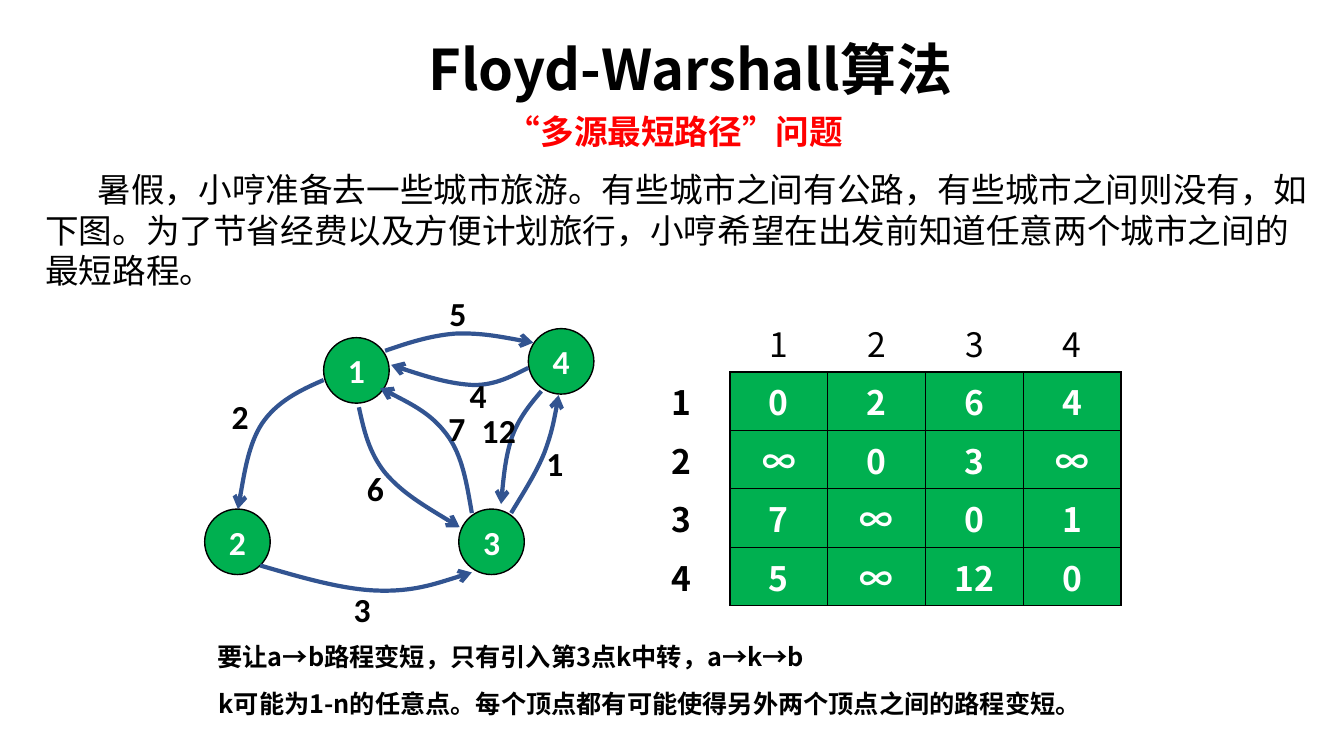
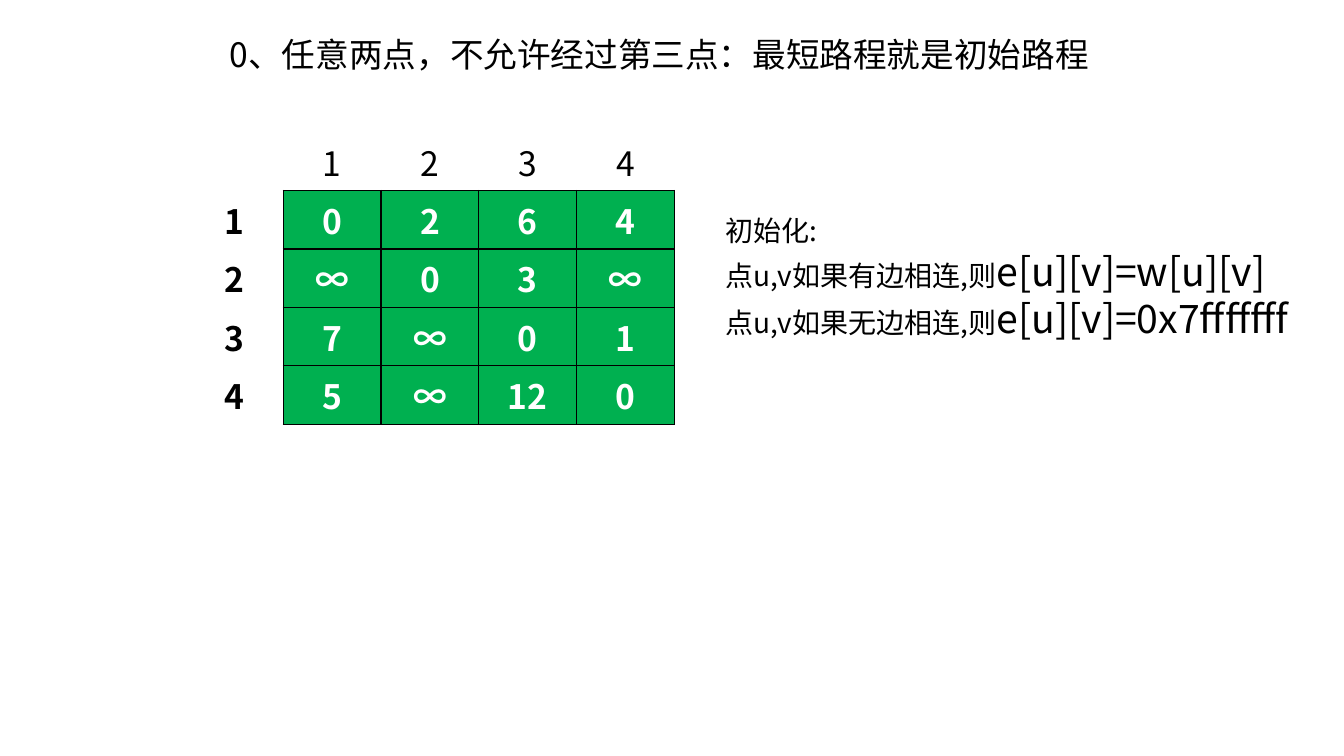
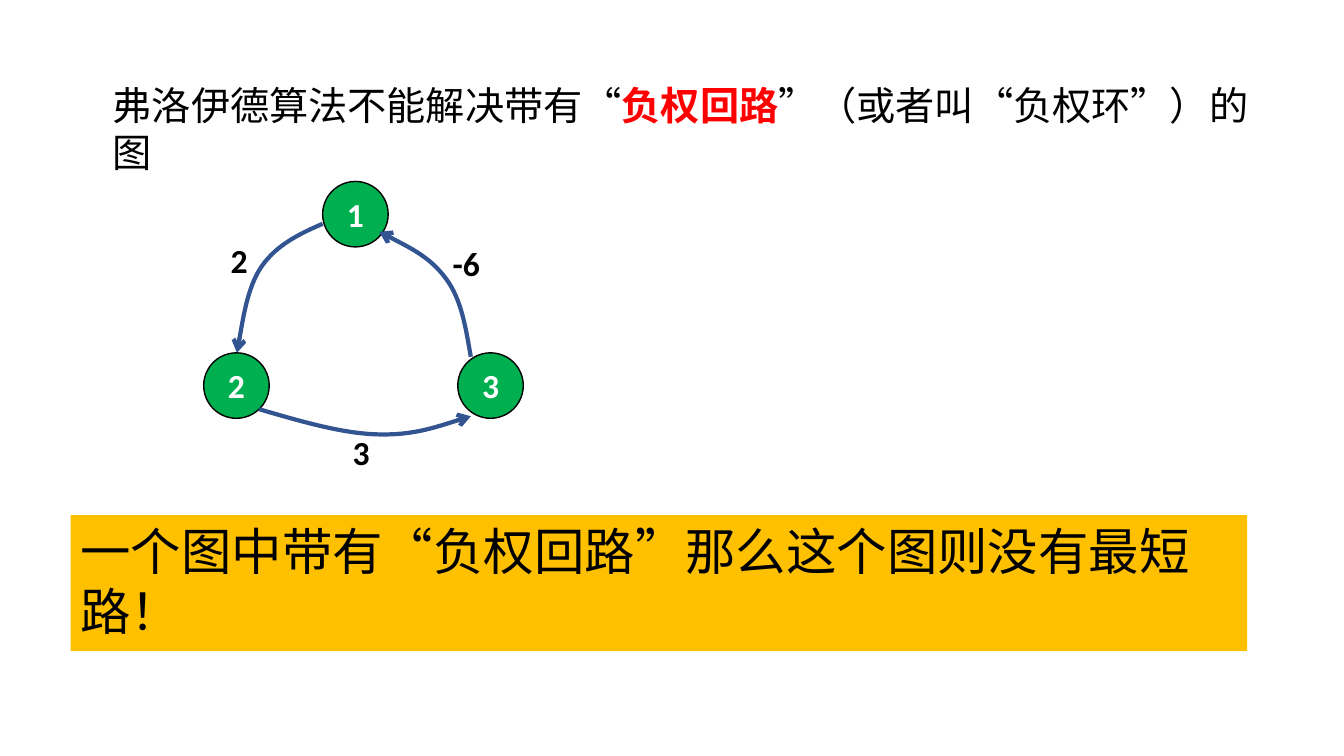
from lxml.etree import SubElement
from pptx import Presentation
from pptx.dml.color import RGBColor
from pptx.enum.shapes import MSO_SHAPE
from pptx.enum.text import MSO_ANCHOR, PP_ALIGN
from pptx.oxml.ns import qn
from pptx.util import Inches, Pt

BLACK, WHITE, RED = "000000", "FFFFFF", "FF0000"
GREEN, BLUE, AMBER = "00B050", "325491", "FFC000"
TEXT_FONT, GRAPH_FONT = "Noto Sans CJK SC", "Calibri"

NODE_SIZE = 0.65
NODES = {1: (1.18, 0.49), 2: (0, 2.19), 3: (2.52, 2.19), 4: (3.21, 0.4)}
CURVES = {
    (1, 2): [(1.18, 0.91), (0.95, 1.01), (0.72, 1.12), (0.57, 1.34),
             (0.43, 1.55), (0.33, 2.19), (0.33, 2.19)],
    (2, 3): [(0.55, 2.75), (0.96, 2.87), (1.37, 2.99), (1.72, 3),
             (2.07, 3.01), (2.36, 2.91), (2.65, 2.82)],
    (3, 1): [(2.65, 2.23), (2.6, 1.95), (2.56, 1.66), (2.4, 1.45),
             (2.25, 1.25), (2, 1.12), (1.74, 0.99)],
    (1, 3): [(1.53, 1.18), (1.58, 1.41), (1.63, 1.63), (1.79, 1.83),
             (1.96, 2.03), (2.25, 2.2), (2.53, 2.37)],
    (4, 1): [(3.21, 0.79), (3.05, 0.87), (2.89, 0.96), (2.67, 0.96),
             (2.44, 0.95), (2.14, 0.86), (1.85, 0.76)],
    (1, 4): [(1.79, 0.62), (2.02, 0.54), (2.24, 0.47), (2.48, 0.45),
             (2.73, 0.44), (2.99, 0.49), (3.26, 0.54)],
    (4, 3): [(3.34, 1.02), (3.23, 1.15), (3.12, 1.28), (3.05, 1.47),
             (2.99, 1.65), (2.96, 1.9), (2.94, 2.14)],
    (3, 4): [(3.04, 2.23), (3.16, 2.03), (3.29, 1.83), (3.37, 1.63),
             (3.44, 1.44), (3.48, 1.25), (3.51, 1.06)],
}
CITY_EDGES = {
    (1, 2): ("2", 0.17, 1.02), (2, 3): ("3", 1.38, 2.93),
    (3, 1): ("7", 2.32, 1.14), (1, 3): ("6", 1.51, 1.73),
    (4, 1): ("4", 2.53, 0.81), (1, 4): ("5", 2.33, 0),
    (4, 3): ("12", 2.65, 1.16), (3, 4): ("1", 3.29, 1.48),
}
NEGATIVE_CYCLE = {
    (1, 2): ("2", 0.17, 1.02), (2, 3): ("3", 1.38, 2.93),
    (3, 1): ("-6", 2.37, 1.05),
}
DISTANCES = ["0264", "∞03∞", "7∞01", ["5", "∞", "12", "0"]]
CELL_WIDTH, CELL_HEIGHT = 0.97, 0.58


def color(value):
    """Return the colour for a hex string."""
    return RGBColor.from_string(value)


def set_font(paragraph, size, ink=BLACK, bold=False, name=TEXT_FONT):
    """Style a whole paragraph, East Asian letters included."""
    font = paragraph.font
    font.size, font.bold, font.name = Pt(size), bold, name
    font.color.rgb = color(ink)
    SubElement(font._element, qn("a:ea"), typeface=name)


def add_text(slide, text, left, top, width, height, size, **style):
    """Add a wrapped one-paragraph text box and return its paragraph."""
    box = slide.shapes.add_textbox(*map(Inches, (left, top, width, height)))
    box.text_frame.word_wrap = True
    paragraph = box.text_frame.paragraphs[0]
    paragraph.text = text
    set_font(paragraph, size, **style)
    return paragraph


def add_shape(slide, kind, left, top, width, height, fill):
    """Add a filled preset shape without outline or shadow."""
    shape = slide.shapes.add_shape(kind, *map(Inches, (left, top, width, height)))
    shape.shadow.inherit = False
    shape.fill.solid()
    shape.fill.fore_color.rgb = color(fill)
    shape.line.fill.background()
    return shape


def add_node(slide, label, left, top):
    """Add a numbered graph vertex."""
    node = add_shape(slide, MSO_SHAPE.OVAL, left, top, NODE_SIZE, NODE_SIZE, GREEN)
    node.line.color.rgb = color(BLACK)
    node.line.width = Pt(1)
    frame = node.text_frame
    frame.margin_left = frame.margin_right = 0
    frame.vertical_anchor = MSO_ANCHOR.MIDDLE
    paragraph = frame.paragraphs[0]
    paragraph.text = label
    paragraph.alignment = PP_ALIGN.CENTER
    set_font(paragraph, 24, WHITE, True, GRAPH_FONT)


def add_curved_arrow(slide, points):
    """Draw a cubic curve with an arrowhead at its last point."""
    start, *others = [(Inches(x), Inches(y)) for x, y in points]
    builder = slide.shapes.build_freeform(*start)
    builder.add_line_segments(others, close=False)
    arrow = builder.convert_to_shape()
    segments = list(arrow._element.iter(qn("a:lnTo")))
    outline = segments[0].getparent()
    for first in range(0, len(segments), 3):
        curve = SubElement(outline, qn("a:cubicBezTo"))
        for segment in segments[first:first + 3]:
            curve.append(segment[0])
            outline.remove(segment)
    arrow.shadow.inherit = False
    arrow.fill.background()
    arrow.line.color.rgb = color(BLUE)
    arrow.line.width = Pt(3)
    SubElement(arrow.line._get_or_add_ln(), qn("a:tailEnd"), type="arrow")


def add_graph(slide, left, top, edges):
    """Draw the vertices, arrows and weights of a directed graph."""
    for vertex in sorted({vertex for edge in edges for vertex in edge}):
        x, y = NODES[vertex]
        add_node(slide, str(vertex), left + x, top + y)
    for edge in edges:
        add_curved_arrow(slide, [(left + x, top + y) for x, y in CURVES[edge]])
    for weight, x, y in edges.values():
        add_text(slide, weight, left + x, top + y, 0.26 + 0.17 * len(weight), 0.5,
                 24, bold=True, name=GRAPH_FONT)


def set_border(cell, side, ink):
    """Give one side of a cell a thin line."""
    line = SubElement(cell._tc.get_or_add_tcPr(), qn("a:" + side), w=str(Pt(1)))
    SubElement(SubElement(line, qn("a:solidFill")), qn("a:srgbClr"), val=ink)


def add_distance_table(slide, left, top):
    """Add the distance matrix with its row and column numbers."""
    rows = [["", *"1234"]] + [[str(i), *row] for i, row in enumerate(DISTANCES, 1)]
    count = len(rows)
    table = slide.shapes.add_table(
        count, count, Inches(left), Inches(top),
        Inches(count * CELL_WIDTH), Inches(count * CELL_HEIGHT)).table
    table.first_row = table.horz_banding = False
    for row_index, row in enumerate(rows):
        table.rows[row_index].height = Inches(CELL_HEIGHT)
        table.columns[row_index].width = Inches(CELL_WIDTH)
        for column_index, value in enumerate(row):
            cell = table.cell(row_index, column_index)
            inside = row_index > 0 and column_index > 0
            edges = {"lnL": inside, "lnR": row_index > 0,
                     "lnT": inside, "lnB": column_index > 0}
            for side, dark in edges.items():
                set_border(cell, side, BLACK if dark else WHITE)
            if inside:
                cell.fill.solid()
                cell.fill.fore_color.rgb = color(GREEN)
            else:
                cell.fill.background()
            cell.vertical_anchor = MSO_ANCHOR.MIDDLE
            paragraph = cell.text_frame.paragraphs[0]
            paragraph.text = value
            paragraph.alignment = PP_ALIGN.CENTER
            set_font(paragraph, 24, WHITE if inside else BLACK, row_index > 0)


def build_problem_slide(slide):
    """Introduce the all-pairs shortest route problem."""
    add_text(slide, "Floyd-Warshall算法", 4.15, 0.29, 6.22, 0.77, 40, bold=True)
    add_text(slide, "“多源最短路径”问题", 4.93, 1.05, 4.17, 0.5, 24, ink=RED, bold=True)
    add_graph(slide, 2.03, 2.86, CITY_EDGES)
    add_distance_table(slide, 6.27, 3.11)
    add_text(slide, "要让a→b路程变短，只有引入第3点k中转，a→k→b",
             2.06, 6.31, 6.5, 0.4, 18, bold=True)
    add_text(slide, "k可能为1-n的任意点。每个顶点都有可能使得另外两个顶点之间的路程变短。",
             2.07, 6.78, 9.03, 0.4, 18, bold=True)
    story = add_text(
        slide, "暑假，小哼准备去一些城市旅游。有些城市之间有公路，有些城市之间则没有，"
        "如下图。为了节省经费以及方便计划旅行，小哼希望在出发前知道任意两个城市之间的最短路程。",
        0.35, 1.63, 12.79, 1.31, 24)
    story._p.get_or_add_pPr().set("indent", str(Inches(0.52)))


def build_initial_slide(slide):
    """Show the initial distances and how they are set."""
    add_text(slide, "0、任意两点，不允许经过第三点：最短路程就是初始路程",
             2.18, 0.29, 9.21, 0.5, 24)
    add_distance_table(slide, 1.84, 1.31)
    box = slide.shapes.add_textbox(Inches(7.1), Inches(2.07), Inches(6.23), Inches(1.38))
    frame = box.text_frame
    frame.word_wrap = True
    frame.text = "初始化:"
    set_font(frame.paragraphs[0], 20)
    for condition, assignment in (("点u,v如果有边相连,则", "e[u][v]=w[u][v]"),
                                  ("点u,v如果无边相连,则", "e[u][v]=0x7fffffff")):
        paragraph = frame.add_paragraph()
        set_font(paragraph, 20)
        paragraph.add_run().text = condition
        code = paragraph.add_run()
        code.text = assignment
        code.font.size = Pt(28)


def build_cycle_slide(slide):
    """Warn about cycles of negative weight."""
    add_graph(slide, 2.02, 1.31, NEGATIVE_CYCLE)
    warning = add_text(slide, "弗洛伊德算法不能解决带有“", 1.02, 0.76, 11.82, 1.04, 28)
    term = warning.add_run()
    term.text = "负权回路"
    term.font.bold = True
    term.font.color.rgb = color(RED)
    warning.add_run().text = "”（或者叫“负权环”）的图"
    banner = add_shape(slide, MSO_SHAPE.RECTANGLE, 0.7, 5.11, 11.67, 1.35, AMBER)
    frame = banner.text_frame
    frame.word_wrap = True
    frame.vertical_anchor = MSO_ANCHOR.TOP
    paragraph = frame.paragraphs[0]
    paragraph.text = "一个图中带有“负权回路”那么这个图则没有最短路！"
    paragraph.alignment = PP_ALIGN.LEFT
    set_font(paragraph, 36)


def main():
    """Build and save the presentation."""
    presentation = Presentation()
    presentation.slide_width, presentation.slide_height = Inches(13.33), Inches(7.5)
    for build in (build_problem_slide, build_initial_slide, build_cycle_slide):
        build(presentation.slides.add_slide(presentation.slide_layouts[6]))
    presentation.save("out.pptx")


if __name__ == "__main__":
    main()
